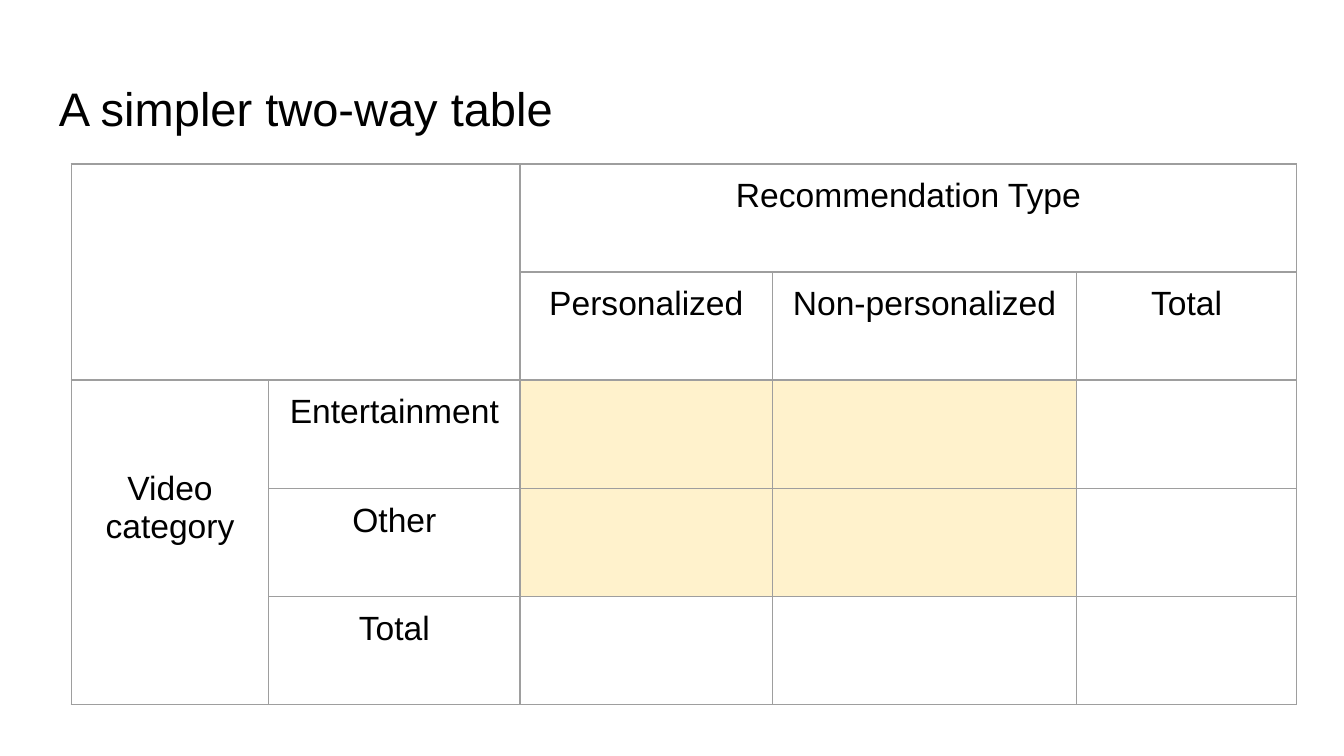
"""Build a slide with an empty two-way table of video category by recommendation type."""
from lxml import etree
from pptx import Presentation
from pptx.dml.color import RGBColor
from pptx.enum.text import MSO_ANCHOR, PP_ALIGN
from pptx.oxml.ns import qn
from pptx.util import Inches, Pt

CENTER = PP_ALIGN.CENTER
LEFT = PP_ALIGN.LEFT
TOP = MSO_ANCHOR.TOP

COLORS = {"text": "000000", "border": "9E9E9E", "highlight": "FFF2CC"}
FONT = "Arial"
TITLE = "A simpler two-way table"
ROWS = [
    ["", "", "Recommendation Type", "", ""],
    ["", "", "Personalized", "Non-personalized", "Total"],
    ["Video category", "Entertainment", "", "", ""],
    ["", "Other", "", "", ""],
    ["", "Total", "", "", ""],
]
MERGES = [((0, 0), (1, 1)), ((0, 2), (0, 4)), ((2, 0), (4, 0))]
HIGHLIGHTED = [(row, column) for row in (2, 3) for column in (2, 3)]
COLUMN_WIDTHS = [1.47, 1.87, 1.88, 2.26, 1.64]
TABLE_HEIGHT = 4.02
PADDING = 0.1
CATEGORY_POSITION = (2, 0)
CATEGORY_TOP = 0.67


def set_padding(area, top=PADDING):
    area.margin_left = area.margin_right = area.margin_bottom = Inches(PADDING)
    area.margin_top = Inches(top)


def write(text_frame, text, size, alignment):
    paragraph = text_frame.paragraphs[0]
    paragraph.text = text
    paragraph.alignment = alignment
    paragraph.font.name = FONT
    paragraph.font.size = Pt(size)
    paragraph.font.color.rgb = RGBColor.from_string(COLORS["text"])


def add_borders(cell):
    properties = cell._tc.get_or_add_tcPr()
    for side in ("a:lnL", "a:lnR", "a:lnT", "a:lnB"):
        border = etree.SubElement(properties, qn(side), w=str(Pt(0.75)))
        fill = etree.SubElement(border, qn("a:solidFill"))
        etree.SubElement(fill, qn("a:srgbClr"), val=COLORS["border"])


def add_title(slide):
    title = slide.shapes.add_textbox(Inches(0.34), Inches(0.49), Inches(9.32), Inches(0.63))
    title.text_frame.word_wrap = True
    title.text_frame.vertical_anchor = TOP
    set_padding(title.text_frame)
    write(title.text_frame, TITLE, 25.2, LEFT)


def add_two_way_table(slide):
    table = slide.shapes.add_table(
        len(ROWS), len(COLUMN_WIDTHS), Inches(0.53), Inches(1.22),
        Inches(sum(COLUMN_WIDTHS)), Inches(TABLE_HEIGHT),
    ).table
    table.first_row = table.horz_banding = False
    for column, width in zip(table.columns, COLUMN_WIDTHS):
        column.width = Inches(width)
    for row, labels in enumerate(ROWS):
        for column, label in enumerate(labels):
            cell = table.cell(row, column)
            position = (row, column)
            set_padding(cell, CATEGORY_TOP if position == CATEGORY_POSITION else PADDING)
            add_borders(cell)
            if position in HIGHLIGHTED:
                cell.fill.solid()
                cell.fill.fore_color.rgb = RGBColor.from_string(COLORS["highlight"])
            else:
                cell.fill.background()
            if label:
                write(cell.text_frame, label, 18, CENTER)
    for first, last in MERGES:
        table.cell(*first).merge(table.cell(*last))


def main():
    presentation = Presentation()
    presentation.slide_width = Inches(10)
    presentation.slide_height = Inches(10) * 9 // 16
    slide = presentation.slides.add_slide(presentation.slide_layouts[6])
    add_title(slide)
    add_two_way_table(slide)
    presentation.save("out.pptx")


if __name__ == "__main__":
    main()
